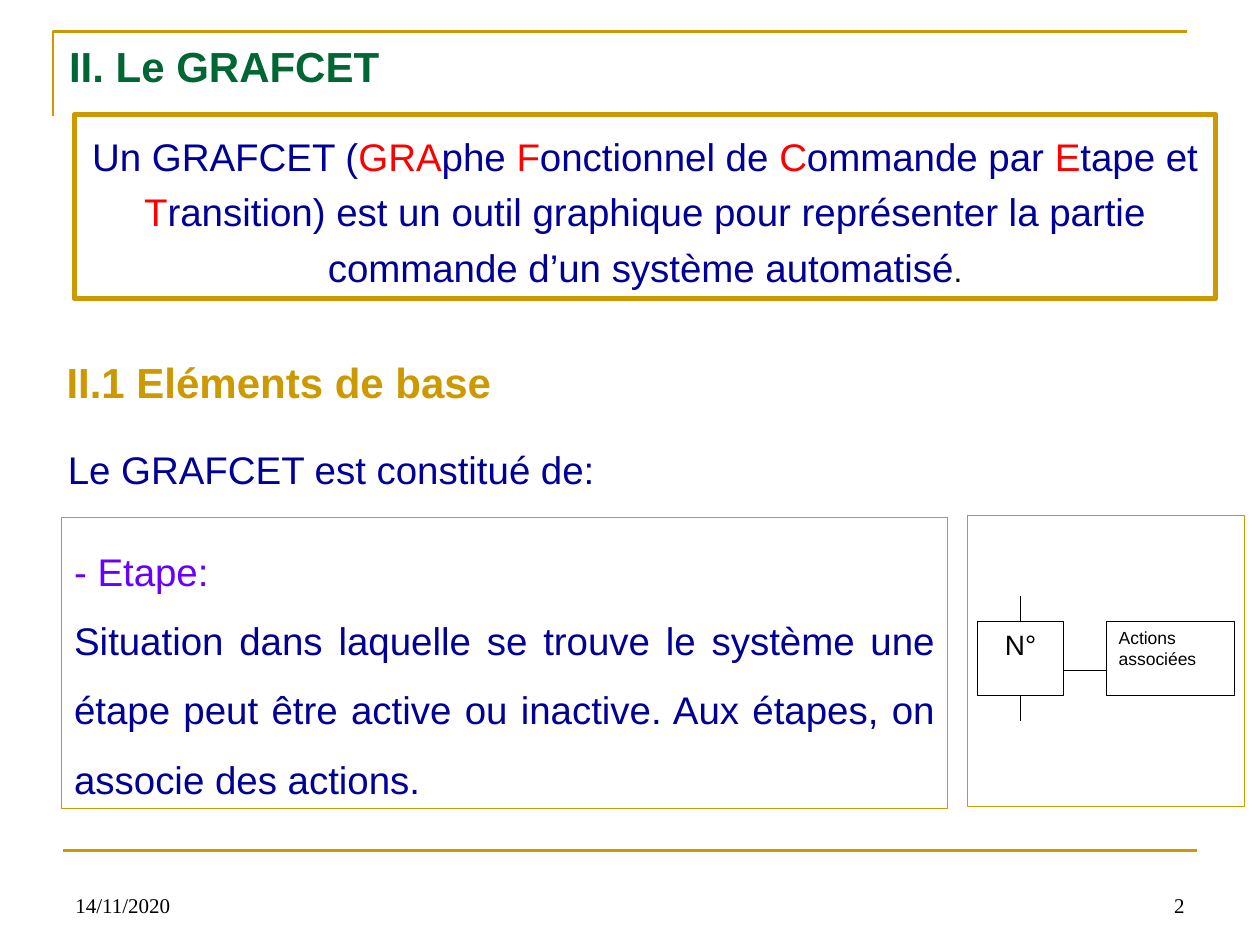
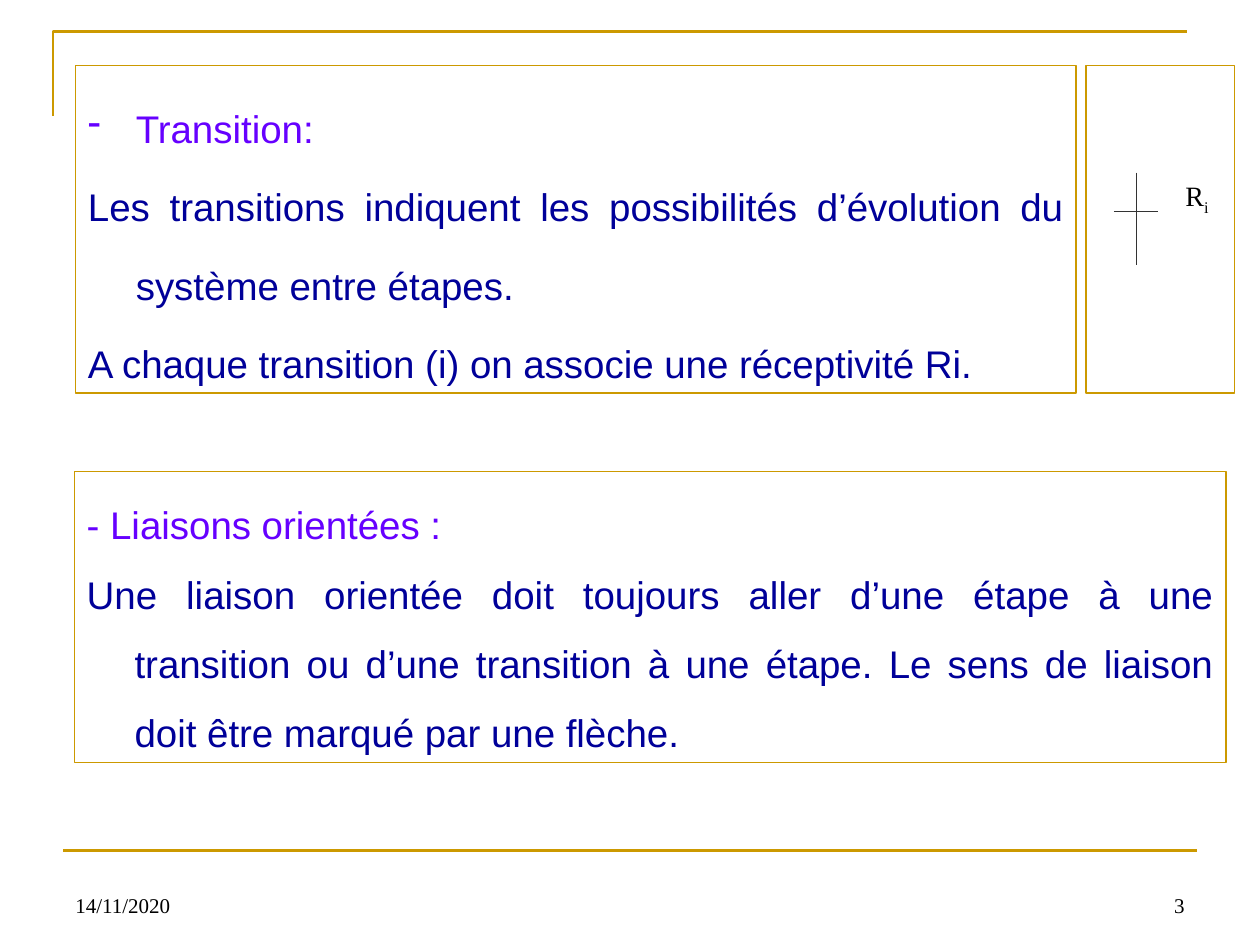
from dataclasses import dataclass

from lxml.etree import SubElement
from pptx import Presentation
from pptx.dml.color import RGBColor
from pptx.enum.shapes import MSO_CONNECTOR, MSO_SHAPE
from pptx.enum.text import MSO_ANCHOR, PP_ALIGN
from pptx.oxml.ns import qn
from pptx.util import Inches, Pt


@dataclass(frozen=True)
class Theme:
    gold: str = "CC9900"
    green: str = "006633"
    navy: str = "000099"
    violet: str = "6600FF"
    red: str = "FF0000"
    black: str = "000000"
    grey: str = "333333"
    white: str = "FFFFFF"
    sans: str = "Arial"
    serif: str = "Times New Roman"
    heading: int = 24
    body: int = 22
    symbol: int = 16
    footer: int = 12
    action: int = 10
    thin: float = 0.75
    rule: float = 1.5
    thick: float = 3


THEME = Theme()
HANGING = 0.38


def rgb(color):
    return RGBColor.from_string(color)


def style_line(shape, color, width):
    shape.line.color.rgb = rgb(color)
    shape.line.width = Pt(width)


def add_rule(slide, start, end, color=THEME.black, width=THEME.thin):
    line = slide.shapes.add_connector(
        MSO_CONNECTOR.STRAIGHT, *(Inches(value) for value in (*start, *end)))
    style_line(line, color, width)
    SubElement(line._element.spPr, qn("a:effectLst"))


def add_box(slide, bounds, color=THEME.gold, width=THEME.thin, fill=None):
    box = slide.shapes.add_shape(
        MSO_SHAPE.RECTANGLE, *(Inches(value) for value in bounds))
    box.shadow.inherit = False
    style_line(box, color, width)
    if fill:
        box.fill.solid()
        box.fill.fore_color.rgb = rgb(fill)
    else:
        box.fill.background()
    return box


def add_run(paragraph, text, color, size=THEME.body, font=THEME.sans, bold=False):
    run = paragraph.add_run()
    run.text = text
    run.font.name = font
    run.font.size = Pt(size)
    run.font.bold = bold
    run.font.color.rgb = rgb(color)
    return run


def set_hanging(paragraph, bullet=None):
    properties = paragraph._p.get_or_add_pPr()
    properties.set("marL", str(Inches(HANGING)))
    properties.set("indent", str(-Inches(HANGING)))
    if bullet:
        SubElement(properties, qn("a:buChar")).set("char", bullet)


def first_paragraph(shape, anchor, align=PP_ALIGN.LEFT, spacing=None):
    frame = shape.text_frame
    frame.word_wrap = True
    frame.vertical_anchor = anchor
    paragraph = frame.paragraphs[0]
    paragraph.alignment = align
    if spacing:
        paragraph.line_spacing = spacing
    return paragraph


def add_label(slide, bounds, text, color, size, anchor=MSO_ANCHOR.TOP,
              align=PP_ALIGN.LEFT, spacing=None, font=THEME.sans, bold=False):
    label = slide.shapes.add_textbox(*(Inches(value) for value in bounds))
    paragraph = first_paragraph(label, anchor, align, spacing)
    add_run(paragraph, text, color, size, font, bold)
    return paragraph


def add_definition(slide, bounds, term, sentences, spacing, hanging=True, bullet=None):
    """Framed element of the GRAFCET: violet term, then justified sentences."""
    box = add_box(slide, bounds)
    paragraph = first_paragraph(box, MSO_ANCHOR.MIDDLE)
    for index, text in enumerate([term, *sentences]):
        if index:
            paragraph = box.text_frame.add_paragraph()
        paragraph.alignment = PP_ALIGN.JUSTIFY
        paragraph.line_spacing = spacing
        if hanging:
            set_hanging(paragraph, None if index else bullet)
        add_run(paragraph, text, THEME.navy if index else THEME.violet)


def add_diagram_box(slide, bounds, text, size, align):
    box = add_box(slide, bounds, THEME.black, fill=THEME.white)
    add_run(first_paragraph(box, MSO_ANCHOR.TOP, align), text, THEME.black, size)


def add_step_diagram(slide):
    top, height, stub = 4.93, 0.59, 0.2
    bottom, axis = top + height, 8.1
    add_diagram_box(slide, (7.76, top, 0.68, height), "N°",
                    THEME.symbol, PP_ALIGN.CENTER)
    add_rule(slide, (axis, top - stub), (axis, top))
    add_rule(slide, (axis, bottom), (axis, bottom + stub))
    add_diagram_box(slide, (8.78, top, 1.02, height), "Actions associées",
                    THEME.action, PP_ALIGN.LEFT)
    add_rule(slide, (8.44, 5.32), (8.78, 5.32))
    add_box(slide, (7.68, 4.09, 2.2, 2.31))


def add_transition_diagram(slide):
    add_rule(slide, (8.84, 1.68), (9.19, 1.68), THEME.grey)
    add_rule(slide, (9.02, 1.37), (9.02, 2.1), THEME.grey)
    paragraph = add_label(slide, (9.31, 1.37, 0.47, 0.71), "R", THEME.black,
                          THEME.symbol, font=THEME.serif)
    index = add_run(paragraph, "i", THEME.black, THEME.symbol, THEME.serif)
    index.font._element.set("baseline", "-25000")
    add_box(slide, (8.62, 0.52, 1.18, 2.6))


def add_framed_slide(presentation, number):
    """Blank slide with the shared corner, bottom rule and footer."""
    slide = presentation.slides.add_slide(presentation.slide_layouts[6])
    builder = slide.shapes.build_freeform(Inches(0.42), Inches(0.92))
    builder.add_line_segments(
        [(Inches(0.42), Inches(0.25)), (Inches(9.42), Inches(0.25))], close=False)
    corner = builder.convert_to_shape()
    corner.shadow.inherit = False
    corner.fill.background()
    style_line(corner, THEME.gold, THEME.rule)
    add_rule(slide, (0.5, 6.75), (9.5, 6.75), THEME.gold, THEME.rule)
    for left, text, align in ((0.5, "14/11/2020", PP_ALIGN.LEFT),
                              (7.17, str(number), PP_ALIGN.RIGHT)):
        add_label(slide, (left, 6.83, 2.33, 0.5), text, THEME.black, THEME.footer,
                  MSO_ANCHOR.BOTTOM, align, font=THEME.serif)
    return slide


def add_grafcet_definition(slide):
    box = add_box(slide, (0.59, 0.91, 9.06, 1.46), width=THEME.thick)
    paragraph = first_paragraph(box, MSO_ANCHOR.MIDDLE, PP_ALIGN.CENTER, 1.2)
    # Plain text and the acronym's letters alternate
    pieces = ("Un GRAFCET (", "GRA", "phe ", "F", "onctionnel de ", "C",
              "ommande par ", "E", "tape et ", "T",
              "ransition) est un outil graphique pour représenter la partie "
              "commande d’un système automatisé")
    for index, text in enumerate(pieces):
        add_run(paragraph, text, THEME.red if index % 2 else THEME.navy)
    add_run(paragraph, ".", THEME.black, 18)


def build_step_slide(presentation):
    slide = add_framed_slide(presentation, 2)
    add_label(slide, (0.45, 0.27, 3.06, 0.5), "II. Le GRAFCET", THEME.green,
              THEME.heading, MSO_ANCHOR.MIDDLE, bold=True)
    add_label(slide, (0.43, 2.78, 4, 0.5), "II.1 Eléments de base", THEME.gold,
              THEME.heading, bold=True)
    add_grafcet_definition(slide)
    add_definition(slide, (0.49, 4.11, 7.03, 2.31), "- Etape:", [
        "Situation dans laquelle se trouve le système une étape peut être active "
        "ou inactive. Aux étapes, on associe des actions."], 1.5, hanging=False)
    add_step_diagram(slide)
    add_label(slide, (0.44, 3.34, 4.6, 0.61), "Le GRAFCET est constitué de:",
              THEME.navy, THEME.body, spacing=1.4)


def build_transition_slide(presentation):
    slide = add_framed_slide(presentation, 3)
    add_definition(slide, (0.6, 0.52, 7.94, 2.6), "Transition:", [
        "Les transitions indiquent les possibilités d’évolution du système "
        "entre étapes.",
        "A chaque transition (i) on associe une réceptivité Ri."], 1.7, bullet="-")
    add_definition(slide, (0.59, 3.74, 9.14, 2.31), "- Liaisons orientées :", [
        "Une liaison orientée doit toujours aller d’une étape à une transition ou "
        "d’une transition à une étape. Le sens de liaison doit être marqué par "
        "une flèche."], 1.5)
    add_transition_diagram(slide)


def main():
    presentation = Presentation()
    presentation.slide_width = Inches(10)
    presentation.slide_height = Inches(7.5)
    build_step_slide(presentation)
    build_transition_slide(presentation)
    presentation.save("out.pptx")


if __name__ == "__main__":
    main()
